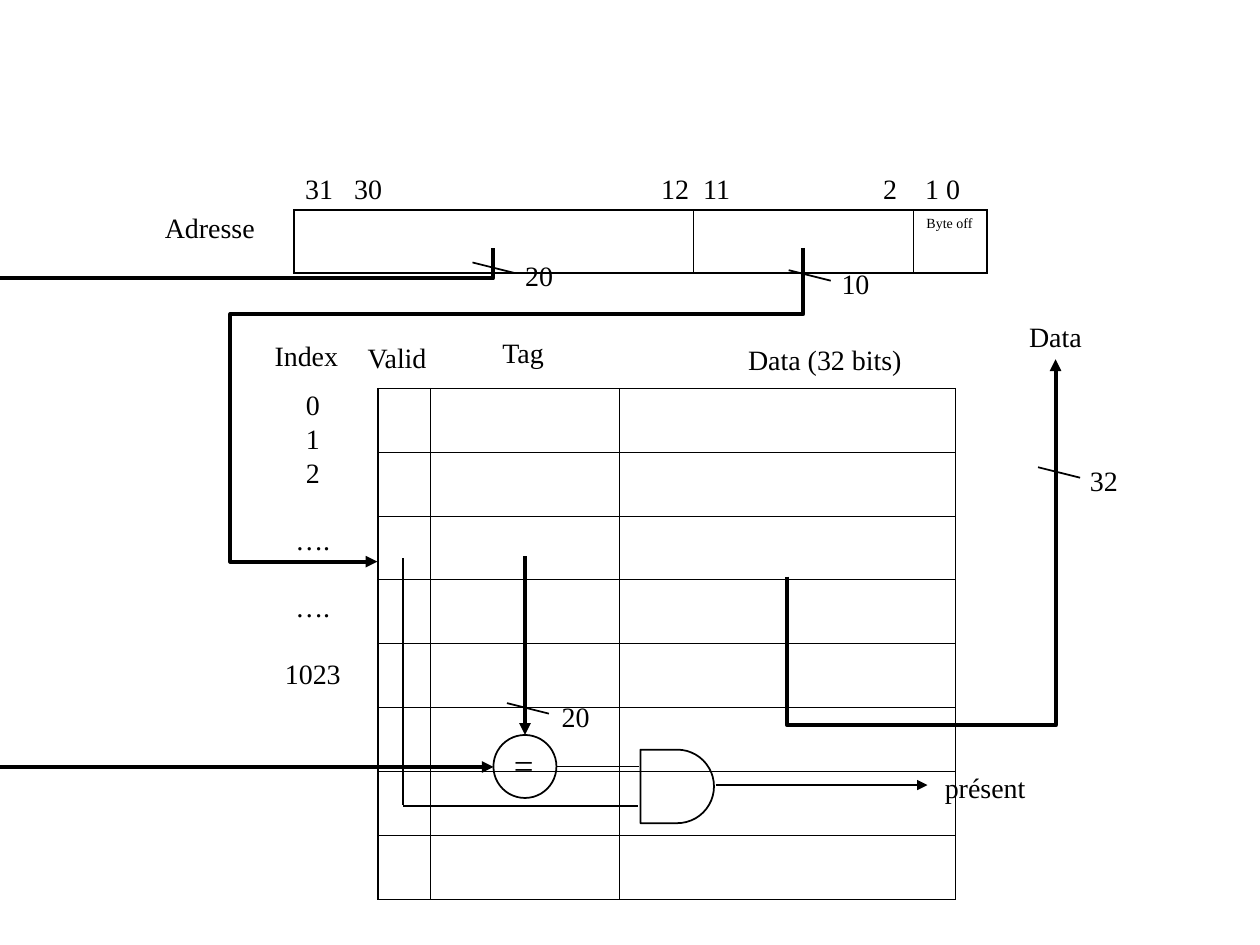
import pptx
import pptx.util
import pptx.dml.color
import pptx.enum.shapes
import pptx.enum.text
import pptx.oxml.ns
from lxml import etree

Pt = pptx.util.Pt
BLACK = pptx.dml.color.RGBColor(0, 0, 0)
FONT = "Times New Roman"
KIND = pptx.enum.shapes.MSO_CONNECTOR
FORM = pptx.enum.shapes.MSO_SHAPE
ALIGN = pptx.enum.text.PP_ALIGN
FIT = pptx.enum.text.MSO_AUTO_SIZE.SHAPE_TO_FIT_TEXT
THIN, THICK = 1, 2.25
INNER, OUTER = 0.45, 1.08

LABELS = [
    ("Valid", 203, 190.8, 50), ("Tag", 280, 188, 40),
    ("Data (32 bits)", 420.4, 192.2, 104), ("Index", 149.8, 190, 53),
    ("Adresse", 87.1, 116.6, 68), ("20", 293, 144, 31),
    ("10", 473.8, 148.6, 31), ("Data", 581, 178.9, 46),
    ("32", 615.8, 261.4, 31), ("présent", 532.8, 437, 62),
    ("20", 313.9, 396, 31),
]
BITS = "31\t30\t12\t11\t2\t1 0"
STOPS = [28, 203.4, 227.4, 330.3, 354.3]
INDEX = [("0", 0), ("1", 0), ("2", 0), ("….", 1), ("….", 1), ("1023", 1)]
STEP = 19.2

TABLES = [
    ((216, 221.9), [30.2, 108, 192], [36.5] * 8, "L", {}),
    ((168, 120), [228.2, 126, 42], [36], "LTRB", {(0, 2): "Byte off"}),
]
SLASHES = [(270, 150), (450.7, 154.4), (593.2, 267), (289.7, 401.8)]
WIRES = [
    ((318.2, 438), (365, 438), THIN, False),
    ((300, 318), (300, 420), THICK, True),
    ((230.2, 319), (230.2, 460.1), THIN, False),
    ((364.5, 460.6), (230.2, 460.6), THIN, False),
    ((409, 448.6), (530, 448.6), THIN, True),
]
ELBOWS = [
    ("bentConnector4", (133.7, 290, 296.4, 0.2), 270, "flipH", [17.2, -289]),
    ("bentConnector4", (247.7, 109.6, 179.3, 243.4), 90, "", [37.8, 327.4]),
    ("bentConnector3", (464.4, 190.8, 124.2, 153.4), 90, "flipH flipV", [-85]),
]

deck = pptx.Presentation()
deck.slide_width, deck.slide_height = Pt(720), Pt(540)
slide = deck.slides.add_slide(deck.slide_layouts[6])
shapes = slide.shapes


def sub(node, tag, **attrs):
    return etree.SubElement(node, pptx.oxml.ns.qn(tag), **attrs)


def write(para, text, size=16, align=ALIGN.LEFT, before=0):
    para.alignment = align
    para.space_before = Pt(before)
    run = para.add_run()
    run.text = text
    run.font.size = Pt(size)
    run.font.name = FONT
    run.font.color.rgb = BLACK


def box(left, top, width, height=26.6, wrap=False):
    frame = shapes.add_textbox(Pt(left), Pt(top), Pt(width), Pt(height)).text_frame
    frame.word_wrap = wrap
    frame.auto_size = FIT
    return frame


def edge(cell, side, width):
    line = sub(cell._tc.get_or_add_tcPr(), "a:ln" + side, w=str(Pt(width)))
    sub(sub(line, "a:solidFill"), "a:srgbClr", val=str(BLACK))


def grid(spot, cols, rows, bold, texts):
    table = shapes.add_table(len(rows), len(cols), Pt(spot[0]), Pt(spot[1]),
                             Pt(sum(cols)), Pt(sum(rows))).table
    table.first_row = table.horz_banding = False
    for col, width in zip(table.columns, cols):
        col.width = Pt(width)
    for r, height in enumerate(rows):
        table.rows[r].height = Pt(height)
        for c in range(len(cols)):
            cell = table.cell(r, c)
            outer = {"L": c == 0, "R": c == len(cols) - 1,
                     "T": r == 0, "B": r == len(rows) - 1}
            for side, flag in outer.items():
                edge(cell, side, OUTER if flag and side in bold else INNER)
            cell.fill.background()
            if (r, c) in texts:
                write(cell.text_frame.paragraphs[0], texts[r, c], size=8, before=2)


def wire(start, end, width, arrow=False, kind=KIND.STRAIGHT):
    line = shapes.add_connector(kind, *(Pt(v) for v in (*start, *end)))
    line.line.color.rgb = BLACK
    line.line.width = Pt(width)
    if arrow:
        sub(line.line._get_or_add_ln(), "a:tailEnd", type="triangle")
    sub(line._element.spPr, "a:effectLst")
    return line


def elbow(preset, frame, turn, flips, bends):
    left, top, width, height = frame
    line = wire((left, top), (left + width, top + height), THICK, True, KIND.ELBOW)
    props = line._element.spPr
    form = props.find(pptx.oxml.ns.qn("a:xfrm"))
    form.set("rot", str(turn * 60000))
    for flip in flips.split():
        form.set(flip, "1")
    geom = props.find(pptx.oxml.ns.qn("a:prstGeom"))
    geom.set("prst", preset)
    guides = geom.find(pptx.oxml.ns.qn("a:avLst"))
    for n, (bend, span) in enumerate(zip(bends, (width, height)), 1):
        sub(guides, "a:gd", name=f"adj{n}", fmla=f"val {round(bend / span * 100000)}")


def node(form, left, top, size):
    shape = shapes.add_shape(form, Pt(left), Pt(top), Pt(size), Pt(size))
    shape.shadow.inherit = False
    shape.fill.background()
    shape.line.color.rgb = BLACK
    shape.line.width = Pt(THIN)


for row in TABLES:
    grid(*row)

for text, left, top, width in LABELS:
    write(box(left, top, width).paragraphs[0], text)
write(box(286.6, 421.2, 26, 31.7).paragraphs[0], "=", size=20)

para = box(167.3, 94.3, 389.5, wrap=True).paragraphs[0]
write(para, BITS)
tabs = sub(para._p.get_or_add_pPr(), "a:tabLst")
for stop in STOPS:
    sub(tabs, "a:tab", pos=str(Pt(stop)), algn="l")

frame = box(155.5, 218.2, 46.4, 180)
for n, (text, gap) in enumerate(INDEX):
    para = frame.add_paragraph() if n else frame.paragraphs[0]
    write(para, text, align=ALIGN.CENTER, before=gap * STEP)

node(FORM.OVAL, 282, 420, 36)
node(FORM.FLOWCHART_DELAY, 366, 428.4, 42)

for left, top in SLASHES:
    wire((left, top), (left + 24, top + 6), THIN)
for row in WIRES:
    wire(*row)
for row in ELBOWS:
    elbow(*row)

deck.save("out.pptx")
